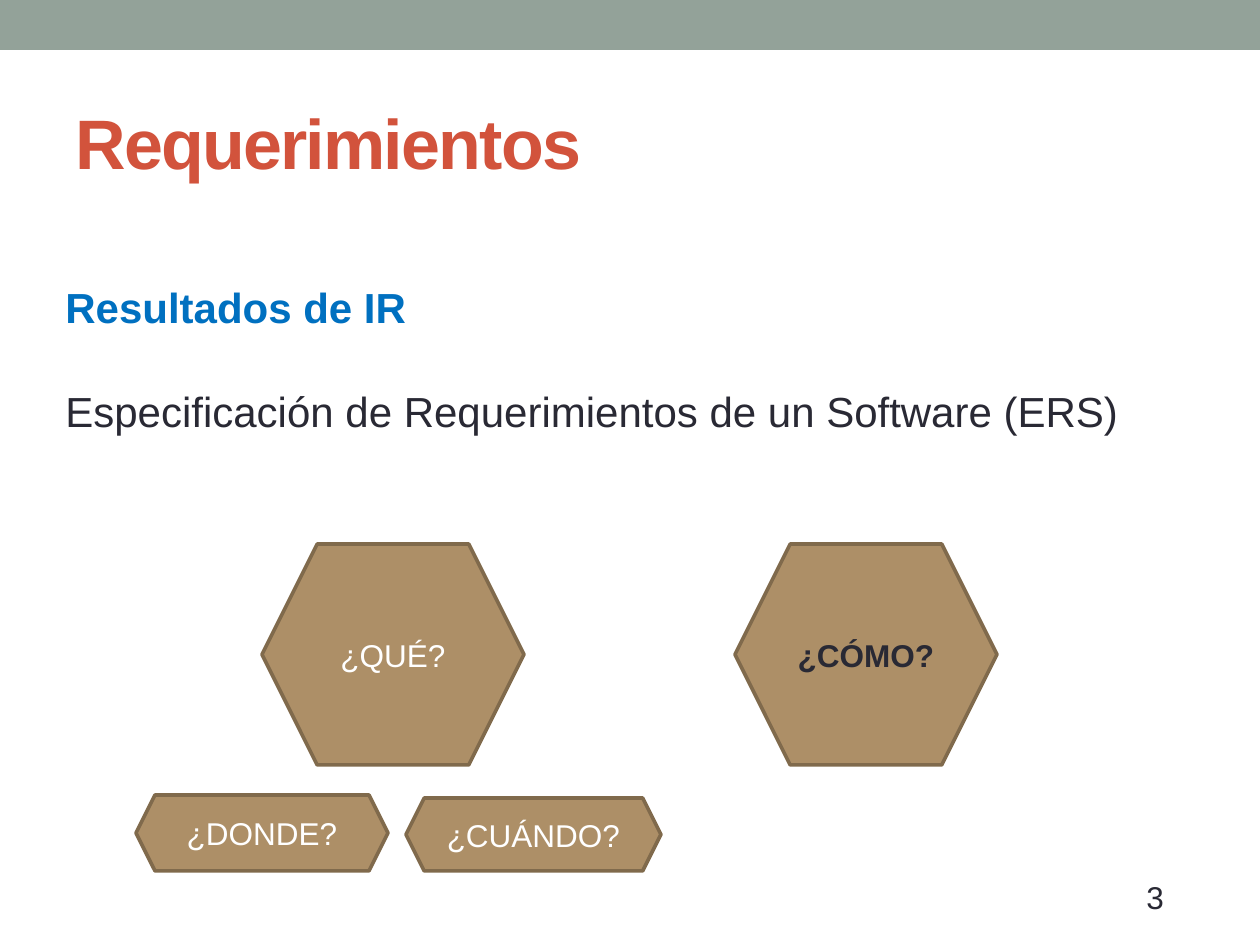
from dataclasses import dataclass

from pptx import Presentation
from pptx.dml.color import RGBColor
from pptx.enum.shapes import MSO_SHAPE
from pptx.enum.text import MSO_ANCHOR, PP_ALIGN
from pptx.util import Pt

RECT, HEX = MSO_SHAPE.RECTANGLE, MSO_SHAPE.HEXAGON
MIDDLE, TOP = MSO_ANCHOR.MIDDLE, MSO_ANCHOR.TOP
LEFT, CENTER, JUSTIFY = PP_ALIGN.LEFT, PP_ALIGN.CENTER, PP_ALIGN.JUSTIFY
SCALE = 914400 / 126
WIDTH, HEIGHT = 1260, 945


@dataclass(frozen=True)
class Theme:
    font: str = "Arial"
    band: str = "93A299"
    title: str = "D2533C"
    head: str = "0070C0"
    ink: str = "292934"
    white: str = "FFFFFF"
    fill: str = "AD8F67"
    edge: str = "806A4C"
    big: int = 40
    body: int = 24
    small: int = 18


THEME = Theme()


def px(*sizes):
    return [round(size * SCALE) for size in sizes]


def color(code):
    return RGBColor.from_string(code)


def add_run(para, text, size, code, bold=False):
    run = para.add_run()
    run.text = text
    font = run.font
    font.name, font.size, font.bold = THEME.font, Pt(size), bold
    font.color.rgb = color(code)
    return run


def add_text(slide, box, anchor=TOP):
    frame = slide.shapes.add_textbox(*px(*box)).text_frame
    frame.word_wrap = True
    frame.vertical_anchor = anchor
    return frame


def add_solid(slide, kind, box, fill):
    shape = slide.shapes.add_shape(kind, *px(*box))
    shape.shadow.inherit = False
    shape.fill.solid()
    shape.fill.fore_color.rgb = color(fill)
    return shape


def add_band(slide, box):
    add_solid(slide, RECT, box, THEME.band).line.fill.background()


def add_title(slide, box, text):
    para = add_text(slide, box, MIDDLE).paragraphs[0]
    para.alignment = LEFT
    run = add_run(para, text, THEME.big, THEME.title, True)
    run.font._element.set("spc", "-100")


def add_body(slide, box, head, line):
    frame = add_text(slide, box)
    first, last = frame.paragraphs[0], frame.add_paragraph()
    for para in (first, last):
        para.alignment = JUSTIFY
        para.line_spacing = 1.05
    last.space_before = Pt(29)
    add_run(first, head, THEME.body, THEME.head, True)
    add_run(last, line, THEME.body, THEME.ink)


def add_hex(slide, box, text, code, bold=False):
    shape = add_solid(slide, HEX, box, THEME.fill)
    shape.line.color.rgb = color(THEME.edge)
    shape.line.width = Pt(2.08)
    frame = shape.text_frame
    frame.word_wrap = False
    frame.vertical_anchor = MIDDLE
    para = frame.paragraphs[0]
    para.alignment = CENTER
    add_run(para, text, THEME.small, code, bold)


def add_asks(slide, box):
    """Place the hexagons with the questions."""
    left, top, width, height = box
    asks = (
        ((126, 0, 262, 221), "¿QUÉ?", THEME.white, False),
        ((599, 0, 262, 221), "¿CÓMO?", THEME.ink, True),
        ((0, height - 76, 252, 76), "¿DONDE?", THEME.white, False),
        ((270, height - 73, 255, 73), "¿CUÁNDO?", THEME.white, False),
    )
    for (x, y, wide, high), text, code, bold in asks:
        add_hex(slide, (left + x, top + y, wide, high), text, code, bold)


def add_number(slide, box, text):
    para = add_text(slide, box).paragraphs[0]
    add_run(para, text, THEME.small, THEME.ink)


def main():
    deck = Presentation()
    deck.slide_width, deck.slide_height = px(WIDTH, HEIGHT)
    slide = deck.slides.add_slide(deck.slide_layouts[6])
    add_band(slide, (0, 0, WIDTH, 50))
    add_number(slide, (1134, 872, 158, 45), "3")
    add_body(slide, (53, 273, 1113, 165), "Resultados de IR",
             "Especificación de Requerimientos de un Software (ERS)")
    add_title(slide, (63, 73, 1134, 136), "Requerimientos")
    add_asks(slide, (136, 544, 861, 327))
    deck.save("out.pptx")


if __name__ == "__main__":
    main()
